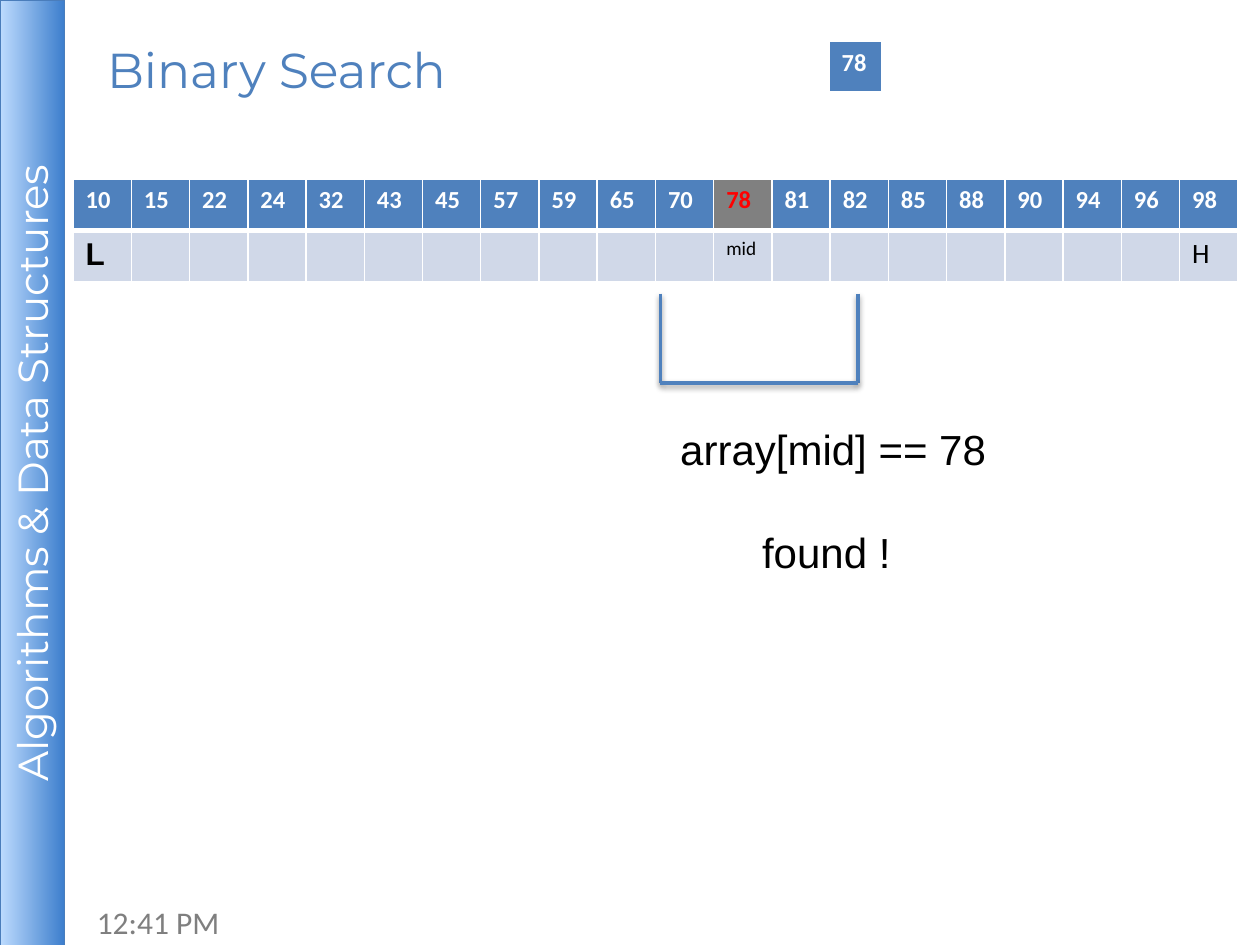
from dataclasses import dataclass

from lxml.etree import SubElement
from pptx import Presentation
from pptx.dml.color import RGBColor
from pptx.enum.shapes import MSO_CONNECTOR as Connector, MSO_SHAPE as Preset
from pptx.enum.text import MSO_ANCHOR as Anchor, PP_ALIGN as Align
from pptx.oxml.ns import qn
from pptx.util import Inches, Pt

SLIDE_WIDTH, SLIDE_HEIGHT = 10, 7.5
BAR_WIDTH, BAR_LENGTH = 0.51, 7.51
TABLE_LEFT, TABLE_TOP = 0.58, 1.42
COLUMN, ROW = 9.25 / 20, 0.41
VALUES = [10, 15, 22, 24, 32, 43, 45, 57, 59, 65,
          70, 78, 81, 82, 85, 88, 90, 94, 96, 98]
MIDDLE = VALUES.index(78)
BLUE, PALE, GRAY = "4F81BD", "D0D8E8", "808080"
WHITE, BLACK, RED = "FFFFFF", "000000", "FF0000"


@dataclass(frozen=True)
class Style:
    size: float
    color: str
    font: str = "Calibri"
    bold: bool = False


@dataclass(frozen=True)
class Cell:
    text: str = ""
    style: Style = Style(18, BLACK)
    fill: str = PALE


HEADER = Style(14, WHITE, bold=True)
RESULT = Style(24, BLACK, "Arial")


def color(value: str) -> RGBColor:
    return RGBColor.from_string(value)


def format_text(paragraph, style: Style) -> None:
    for run in paragraph.runs:
        run.font.size = Pt(style.size)
        run.font.name = style.font
        run.font.bold = style.bold
        run.font.color.rgb = color(style.color)


def place(shape, left: float, top: float, width: float, height: float) -> None:
    shape.left, shape.top = Inches(left), Inches(top)
    shape.width, shape.height = Inches(width), Inches(height)


def add_text_box(slide, left: float, top: float, width: float, height: float):
    box = slide.shapes.add_textbox(*map(Inches, (left, top, width, height)))
    box.text_frame.word_wrap = True
    return box.text_frame


def set_borders(cell, top: float, bottom: float) -> None:
    properties = cell._tc.get_or_add_tcPr()
    for side, width in (("lnL", 1), ("lnR", 1), ("lnT", top), ("lnB", bottom)):
        line = SubElement(properties, qn(f"a:{side}"), w=str(Pt(width)))
        fill = SubElement(line, qn("a:solidFill"))
        SubElement(fill, qn("a:srgbClr"), val=WHITE)


def add_grid(slide, left: float, top: float, column: float, rows: list[list[Cell]]) -> None:
    """Draw a table of equal cells with a thick rule under its first row."""
    count = len(rows[0])
    table = slide.shapes.add_table(
        len(rows), count, Inches(left), Inches(top),
        Inches(column * count), Inches(ROW * len(rows))).table
    for index, row in enumerate(rows):
        table.rows[index].height = Inches(ROW)
        for position, content in enumerate(row):
            cell = table.cell(index, position)
            set_borders(cell, *((1, 3) if index == 0 else (3, 1)))
            cell.fill.solid()
            cell.fill.fore_color.rgb = color(content.fill)
            cell.text_frame.text = content.text
            format_text(cell.text_frame.paragraphs[0], content.style)


def add_side_bar(slide) -> None:
    bar = slide.shapes.add_shape(Preset.RECTANGLE, 0, 0, 0, 0)
    place(bar, (BAR_WIDTH - BAR_LENGTH) / 2, (BAR_LENGTH - BAR_WIDTH) / 2,
          BAR_LENGTH, BAR_WIDTH)
    bar.rotation = 270
    bar.shadow.inherit = False
    bar.fill.gradient()
    bar.fill.gradient_angle = 270
    for stop, shade in zip(bar.fill.gradient_stops, ("BDDBFE", "3E7FCD")):
        stop.color.rgb = color(shade)
    bar.line.color.rgb = color("4A7DBB")
    bar.line.width = Pt(0.75)
    frame = bar.text_frame
    frame.margin_left = frame.margin_right = Inches(0.04)
    frame.margin_top = frame.margin_bottom = Inches(0.04)
    frame.vertical_anchor = Anchor.MIDDLE
    frame.text = "Algorithms & Data Structures"
    frame.paragraphs[0].alignment = Align.CENTER
    format_text(frame.paragraphs[0], Style(24, WHITE, "Montserrat"))


def add_title(slide) -> None:
    title = slide.shapes.title
    place(title, 0.75, 0.16, 5.58, 0.78)
    title.text_frame.text = "Binary Search"
    title.text_frame.vertical_anchor = Anchor.MIDDLE
    title.text_frame.paragraphs[0].alignment = Align.LEFT
    format_text(title.text_frame.paragraphs[0], Style(28, BLUE, "Montserrat"))


def add_bracket(slide, first: float, last: float, top: float, bottom: float) -> None:
    """Draw an open bracket between two positions counted in table columns."""
    left, right = (TABLE_LEFT + COLUMN * column for column in (first, last))
    for ends in ((left, top, left, bottom), (right, top, right, bottom),
                 (left, bottom, right, bottom)):
        line = slide.shapes.add_connector(Connector.STRAIGHT, *map(Inches, ends))
        line.line.color.rgb = color(BLUE)
        line.line.width = Pt(2)


def add_result(slide) -> None:
    frame = add_text_box(slide, 4.84, 2.88, 3.59, 1.71)
    frame.margin_top = Inches(0.48)
    frame.text = "array[mid] == 78\nfound !"
    for paragraph, indent in zip(frame.paragraphs, (0.46, 1.11)):
        paragraph._p.get_or_add_pPr().set("marL", str(Inches(indent)))
        format_text(paragraph, RESULT)
    frame.paragraphs[1].space_before = Pt(30)


def main() -> None:
    presentation = Presentation()
    presentation.slide_width = Inches(SLIDE_WIDTH)
    presentation.slide_height = Inches(SLIDE_HEIGHT)
    slide = presentation.slides.add_slide(presentation.slide_layouts[5])

    clock = add_text_box(slide, 0.67, 7.12, 2.33, 0.4)
    clock.text = "12:41 PM"
    format_text(clock.paragraphs[0], Style(18, "7F7F7F"))
    add_side_bar(slide)
    add_title(slide)

    numbers = [Cell(str(value), HEADER, BLUE) for value in VALUES]
    numbers[MIDDLE] = Cell("78", Style(14, RED, bold=True), GRAY)
    markers = [Cell() for _ in VALUES]
    markers[0] = Cell("L", Style(18, BLACK, "Arial", True))
    markers[MIDDLE] = Cell("mid", Style(11, BLACK))
    markers[-1] = Cell("H", Style(16, BLACK))
    add_grid(slide, TABLE_LEFT, TABLE_TOP, COLUMN, [numbers, markers])
    add_grid(slide, 6.58, 0.33, 0.42, [[Cell("78", HEADER, BLUE)]])

    add_bracket(slide, 10.08, 13.47, 2.33, 3.04)
    add_result(slide)
    presentation.save("out.pptx")


if __name__ == "__main__":
    main()
